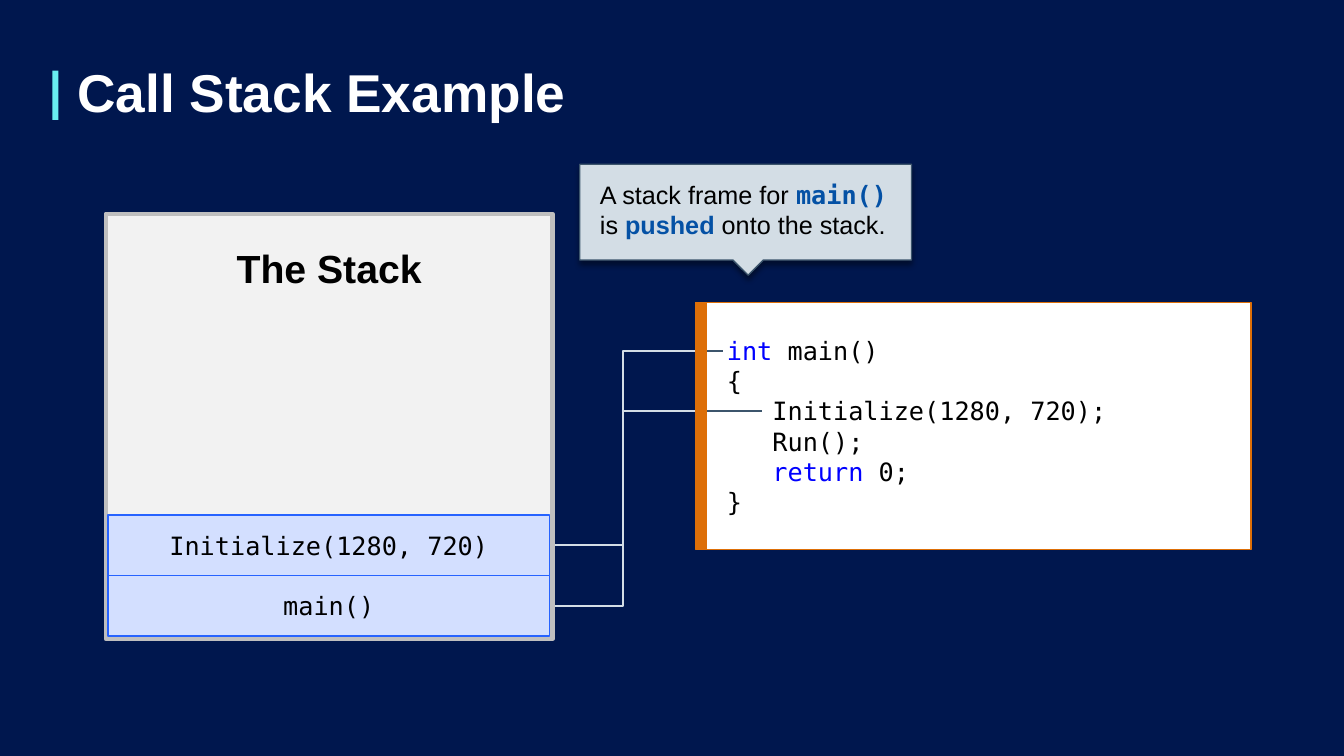
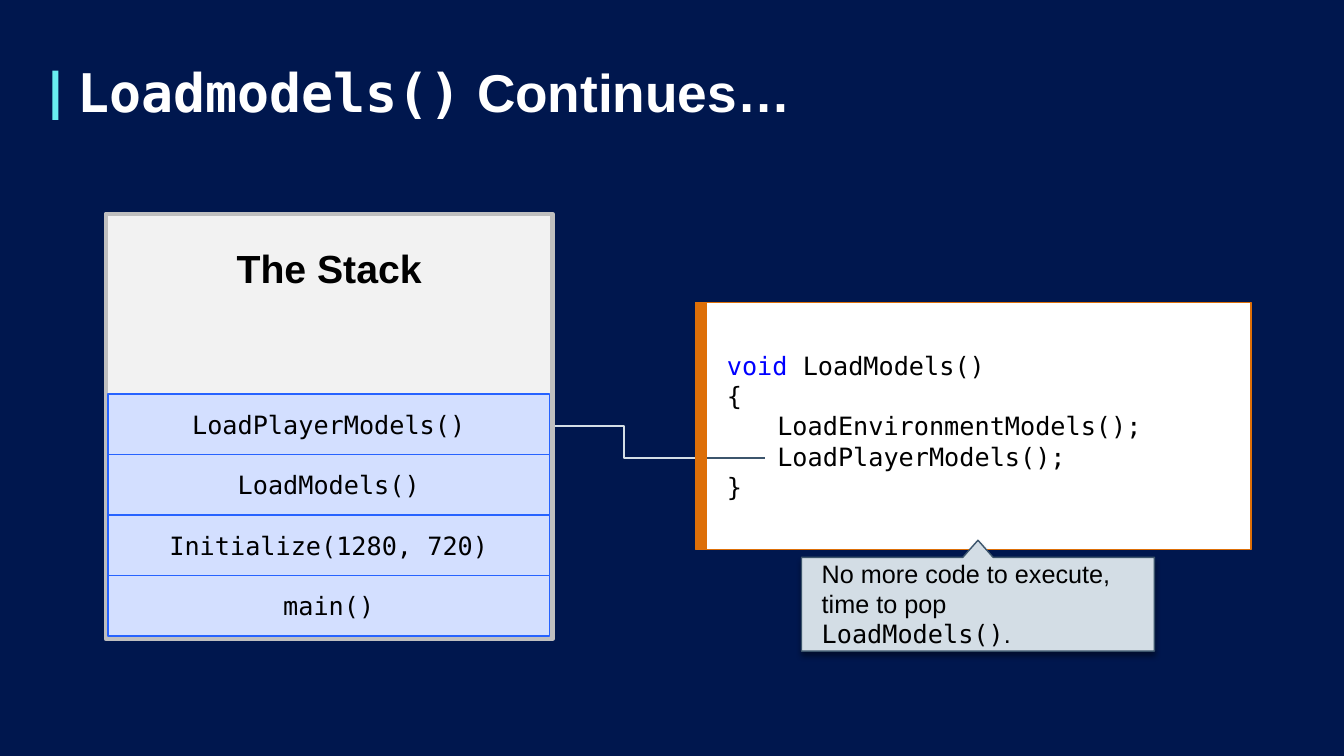
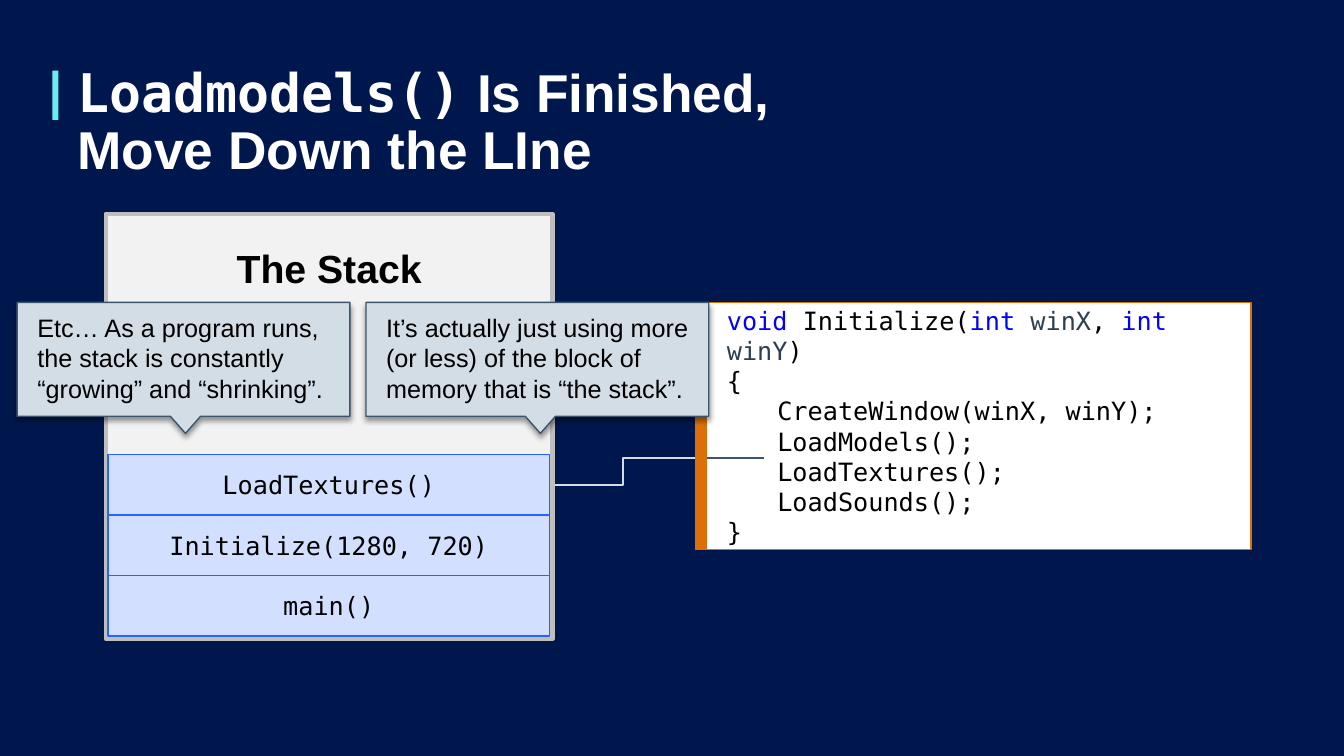
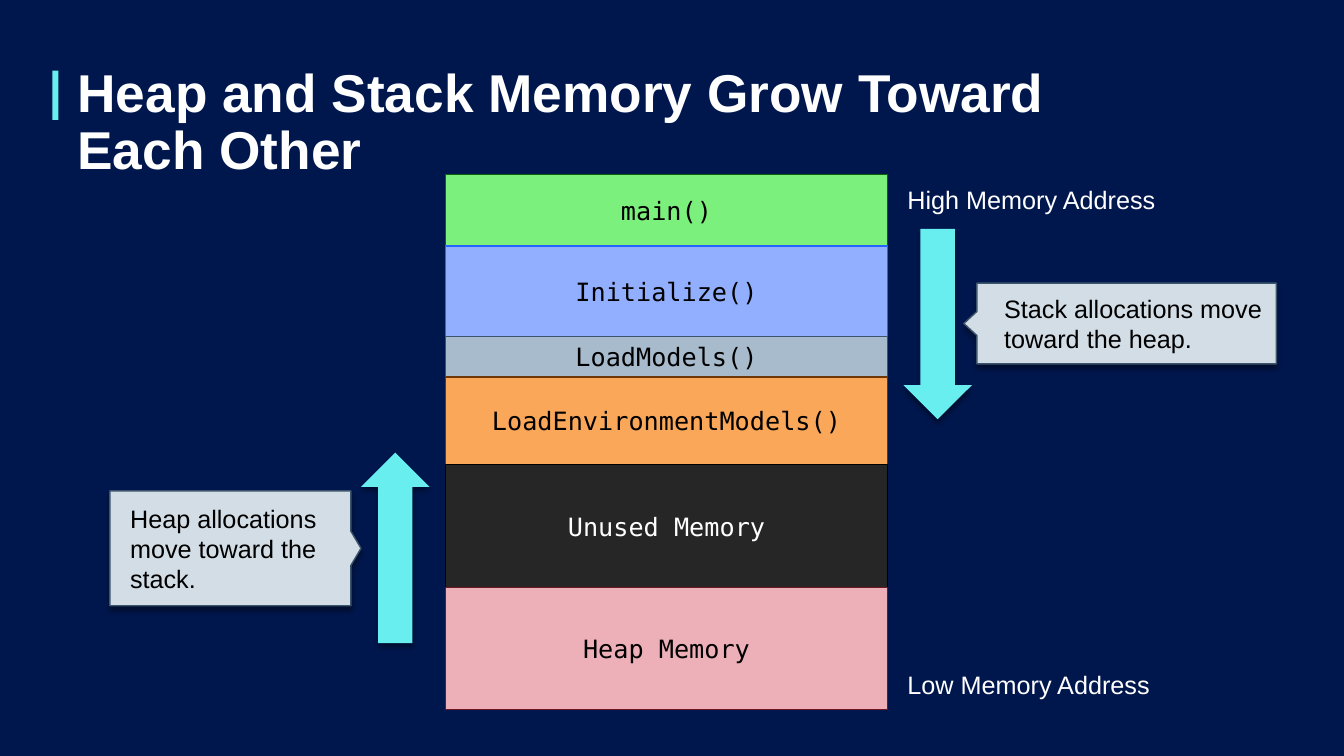
from lxml.etree import SubElement
from pptx import Presentation
from pptx.dml.color import RGBColor
from pptx.enum.shapes import MSO_CONNECTOR, MSO_SHAPE
from pptx.enum.text import MSO_ANCHOR, PP_ALIGN
from pptx.oxml.ns import qn
from pptx.util import Inches, Pt

COLORS = {
    "navy": "00174E", "aqua": "69EEF0", "white": "FFFFFF", "black": "000000",
    "panel": "F2F2F2", "edge": "BFBFBF", "orange": "DD6F08",
    "frame": "D3DFFF", "blue": "2763FF", "pale": "D3DDE5", "slate": "3C556C",
    "key": "0000FF", "arg": "2D3F51", "strong": "0451A5",
    "green": "7CF07C", "forest": "0B630C", "sky": "92AFFF", "steel": "A7BBCD",
    "peach": "FAA75A", "brown": "6E3703", "coal": "262626",
    "pink": "EEB0B8", "wine": "711723",
}
SANS, MONO = "Arial", "DejaVu Sans Mono"
# What a marked run changes: font, colour, bold
MARKS = {
    "key": (None, "key", None),
    "arg": (None, "arg", None),
    "mono": (MONO, None, None),
    "strong": (None, "strong", True),
    "call": (MONO, "strong", True),
}
INSET = (0.1, 0.05, 0.1, 0.05)
EVEN = (0.2, 0.2, 0.2, 0.2)
BELOW = (0.2, 0.05, 0.2, 0.25)

BASE, STEP = 5.71, 0.6
CODE_X, CODE_Y, CODE_H, BAR_W = 7.01, 3, 2.45, 0.11


def tint(name):
    return RGBColor.from_string(COLORS[name])


def style(font, face=None, color=None, bold=None, size=None):
    if face:
        font.name = face
    if color:
        font.color.rgb = tint(color)
    if bold is not None:
        font.bold = bold
    if size:
        font.size = Pt(size)


def write(shape, lines, face=SANS, color="black", size=18, bold=False,
          inset=INSET, align=PP_ALIGN.LEFT, anchor=MSO_ANCHOR.MIDDLE, space=None):
    """Fill a shape with lines; a line is a list of strings and (text, mark) pairs."""
    frame = shape.text_frame
    frame.word_wrap = True
    frame.vertical_anchor = anchor
    (frame.margin_left, frame.margin_top,
     frame.margin_right, frame.margin_bottom) = map(Inches, inset)
    for i, line in enumerate(lines):
        para = frame.add_paragraph() if i else frame.paragraphs[0]
        para.alignment = align
        if space:
            para.line_spacing = space
        style(para.font, face, color, bold, size)
        for part in line:
            text, mark = (part, None) if isinstance(part, str) else part
            for j, piece in enumerate(text.split("\n")):
                if j:
                    para.add_line_break()
                run = para.add_run()
                run.text = piece
                if mark:
                    style(run.font, *MARKS[mark])


def paint(shape, fill, line=None, width=1):
    shape.shadow.inherit = False
    shape.fill.solid()
    shape.fill.fore_color.rgb = tint(fill)
    if line:
        shape.line.color.rgb = tint(line)
        shape.line.width = Pt(width)
    else:
        shape.line.fill.background()


def shade(shape):
    """Give a painted shape a soft shadow below it."""
    effects = shape.element.spPr.find(qn("a:effectLst"))
    outer = SubElement(effects, qn("a:outerShdw"), blurRad=str(Pt(4)),
                       dist=str(Pt(3)), dir="5400000", algn="t", rotWithShape="0")
    black = SubElement(outer, qn("a:srgbClr"), val=COLORS["black"])
    SubElement(black, qn("a:alpha"), val="40000")


def block(page, at, fill, line=None, width=1, kind=MSO_SHAPE.RECTANGLE):
    shape = page.shapes.add_shape(kind, *map(Inches, at))
    paint(shape, fill, line, width)
    return shape


def cell(page, at, text, fill, line, color="black"):
    write(block(page, at, fill, line), [[text]], MONO, color, align=PP_ALIGN.CENTER)


def arrow(page, x, y, kind):
    shade(block(page, (x, y, 0.68, 1.89), "aqua", kind=kind))


def label(page, y, text):
    box = page.shapes.add_textbox(*map(Inches, (8.8, y, 2.97, 0.5)))
    write(box, [[text]], color="white", inset=EVEN)


def link(page, start, end, color, kind=MSO_CONNECTOR.STRAIGHT):
    line = page.shapes.add_connector(kind, *map(Inches, start + end))
    line.line.color.rgb = tint(color)
    line.line.width = Pt(1.5)
    SubElement(line.element.spPr, qn("a:effectLst"))


def note(page, box, tip, text, inset=BELOW, half=0.15):
    """Draw a callout; box is left, top, right, bottom and tip lies outside it."""
    left, top, right, low = box
    x, y = tip
    points = [(left, top), (right, top), (right, low), (left, low)]
    side = [y < top, x > right, y > low, x < left].index(True)
    turn = half if side < 2 else -half
    edge = (top, right, low, left)[side]
    if side % 2:
        notch = [(edge, y - turn), tip, (edge, y + turn)]
    else:
        notch = [(x - turn, edge), tip, (x + turn, edge)]
    points[side + 1:side + 1] = notch
    points = [tuple(map(Inches, point)) for point in points]
    pen = page.shapes.build_freeform(*points[0])
    pen.add_line_segments(points[1:], close=True)
    shape = pen.convert_to_shape()
    paint(shape, "pale", "slate")
    shade(shape)
    write(shape, [text], inset=inset)


def start(deck, title, tall=0.68):
    """Add a slide with its title and accent bar."""
    page = deck.slides.add_slide(deck.slide_layouts[6])
    block(page, (0.52, 0.7, 0.06, 0.49), "aqua")
    box = page.shapes.add_textbox(*map(Inches, (0.67, 0.61, 11.9, tall)))
    write(box, [title], color="white", size=38, bold=True,
          anchor=MSO_ANCHOR.TOP, space=0.9)
    return page


def trace(page, calls, code, wires):
    """Draw the stack of calls beside the code; a wire is start, code height, end x."""
    bar = CODE_X - BAR_W
    for begin, y, _ in wires:
        link(page, begin, (bar, y), "pale", MSO_CONNECTOR.ELBOW)
    panel = block(page, (1.05, 2.12, 4.43, 4.22), "panel", "edge", 3)
    write(panel, [["The Stack"]], size=28, bold=True, inset=(0.1, 0.3, 0.1, 0.05),
          align=PP_ALIGN.CENTER, anchor=MSO_ANCHOR.TOP)
    sheet = block(page, (CODE_X, CODE_Y, 5.4, CODE_H), "white", "orange")
    write(sheet, code, MONO, inset=EVEN)
    for _, y, end in wires:
        link(page, (CODE_X, y), (end, y), "slate")
    block(page, (bar, CODE_Y, BAR_W, CODE_H), "orange", "orange")
    for i, call in enumerate(calls):
        cell(page, (1.07, BASE - i * STEP, 4.38, STEP), call, "frame", "blue")


def push(deck):
    page = start(deck, ["Call Stack Example"])
    trace(page, ["main()", "Initialize(1280, 720)"], [
        [("int", "key"), " main()"],
        ["{"],
        ["   Initialize(1280, 720);"],
        ["   Run();"],
        ["   ", ("return", "key"), " 0;"],
        ["}"],
    ], [((5.45, 5.41), 4.08, 7.56), ((5.45, 6.01), 3.48, 7.17)])
    note(page, (5.75, 1.63, 9.04, 2.58), (7.42, 2.73),
         ["A stack frame for ", ("main() ", "call"), "is ",
          ("pushed", "strong"), " onto the stack."])


def pop(deck):
    page = start(deck, [("Loadmodels()", "mono"), " Continues…"])
    calls = ["main()", "Initialize(1280, 720)", "LoadModels()", "LoadPlayerModels()"]
    trace(page, calls, [
        [("void", "key"), " LoadModels()"],
        ["{"],
        ["\tLoadEnvironmentModels();"],
        ["\tLoadPlayerModels();"],
        ["}"],
    ], [((5.48, 4.23), 4.54, 7.59)])
    note(page, (7.95, 5.53, 11.45, 6.46), (9.7, 5.36),
         ["No more code to execute, time to pop ", ("LoadModels()", "mono"), "."],
         (0.2, 0.4, 0.2, 0.25))


def move(deck):
    page = start(deck, [("Loadmodels()", "mono"),
                        " Is Finished, \nMove Down the LIne"], 1.25)
    trace(page, ["main()", "Initialize(1280, 720)", "LoadTextures()"], [
        [("void", "key"), " Initialize(", ("int ", "key"), ("winX", "arg"), ", ",
         ("int ", "key"), ("winY", "arg"), ")"],
        ["{"],
        ["\tCreateWindow(winX, winY);"],
        ["\tLoadModels();"],
        ["\tLoadTextures();"],
        ["\tLoadSounds();"],
        ["}"],
    ], [((5.45, 4.81), 4.54, 7.58)])
    note(page, (0.17, 3, 3.47, 4.13), (1.84, 4.3),
         ["Etc… As a program runs, the stack is constantly "
          "“growing” and “shrinking”."])
    note(page, (3.63, 3, 7.03, 4.13), (5.36, 4.3),
         ["It’s actually just using more (or less) of the block of memory "
          "that is “the stack”."])


def memory(deck):
    page = start(deck, ["Heap and Stack Memory Grow Toward \nEach Other"], 1.25)
    y = 1.73
    for text, high, fill, line, color in [
        ("main()", 0.71, "green", "forest", "black"),
        ("Initialize()", 0.9, "sky", "blue", "black"),
        ("LoadModels()", 0.4, "steel", "slate", "black"),
        ("LoadEnvironmentModels()", 0.87, "peach", "brown", "black"),
        ("Unused Memory", 1.22, "coal", "black", "white"),
        ("Heap Memory", 1.21, "pink", "wine", "black"),
    ]:
        cell(page, (4.42, y, 4.38, high), text, fill, line, color)
        y += high
    label(page, 1.73, "High Memory Address")
    label(page, 6.54, "Low Memory Address")
    arrow(page, 8.96, 2.27, MSO_SHAPE.DOWN_ARROW)
    arrow(page, 3.58, 4.49, MSO_SHAPE.UP_ARROW)
    note(page, (1.09, 4.87, 3.48, 6.01), (3.58, 5.44),
         ["Heap allocations move toward the stack."], (0.2, 0.2, 0.4, 0.2), 0.17)
    note(page, (9.69, 2.81, 12.66, 3.61), (9.56, 3.21),
         ["Stack allocations move toward the heap."], (0.4, 0.2, 0.1, 0.2), 0.12)


def main():
    deck = Presentation()
    deck.slide_width, deck.slide_height = Inches(13.33), Inches(7.5)
    back = deck.slide_master.background.fill
    back.solid()
    back.fore_color.rgb = tint("navy")
    for build in (push, pop, move, memory):
        build(deck)
    deck.save("out.pptx")


if __name__ == "__main__":
    main()
